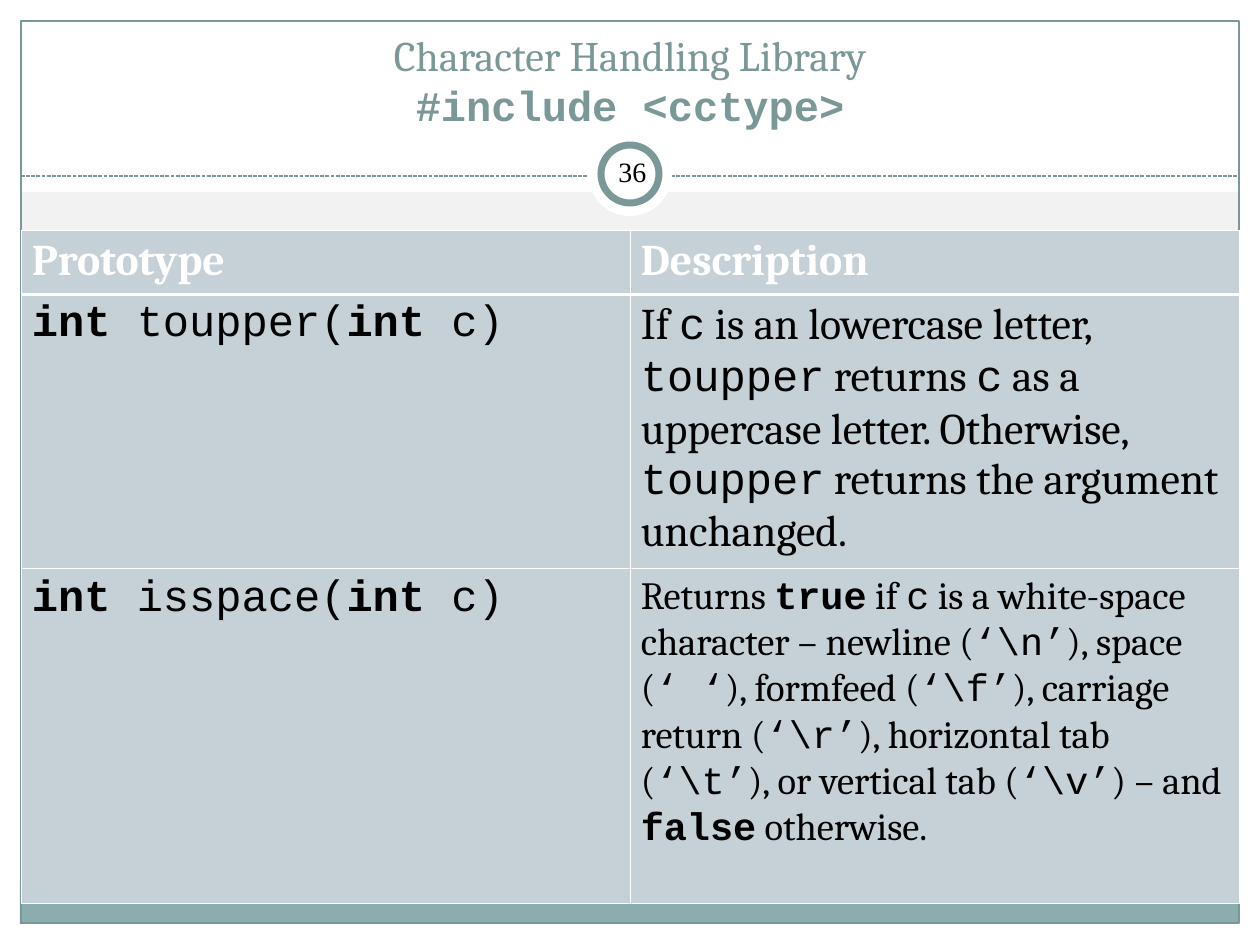
from typing import NamedTuple, Optional

import lxml.etree
import pptx
import pptx.dml.color
import pptx.enum.dml
import pptx.enum.shapes
import pptx.enum.text
import pptx.oxml.ns
import pptx.util

EMU_PER_PX = 914400 / 126
TEAL, WHITE, BLACK, CELL_FILL = "7B9899", "FFFFFF", "000000", "C5D1D7"
THIN, THICK = 0.45, 1.47
SERIF, MONO, NUMBER_FONT = "Cambria", "Courier New", "Times New Roman"
SHAPES = pptx.enum.shapes.MSO_SHAPE
ANCHORS = pptx.enum.text.MSO_ANCHOR


class Box(NamedTuple):
    left: int
    top: int
    width: int
    height: int


class Panel(NamedTuple):
    box: Box
    fill: Optional[str] = None
    line: Optional[str] = None
    line_points: float = 0.75
    kind: pptx.enum.shapes.MSO_SHAPE = SHAPES.RECTANGLE


class Run(NamedTuple):
    text: str
    font: str = SERIF
    bold: bool = False


class Cell(NamedTuple):
    runs: list[Run]
    size: int = 25
    color: str = BLACK


def code(text: str) -> Run:
    return Run(text, MONO)


def keyword(text: str) -> Run:
    return Run(text, MONO, True)


def prototype(name: str) -> Cell:
    return Cell([keyword("int"), code(f" {name}("), keyword("int"), code(" c)")])


def heading(text: str) -> Cell:
    return Cell([Run(text, bold=True)], color=WHITE)


FRAME = Box(21, 21, 1218, 902)
TITLE = Box(21, 31, 1218, 105)
PAGE_NUMBER = Box(601, 141, 63, 61)
TABLE = Box(21, 230, 1218, 673)
ROW_HEIGHTS = [64, 274, 335]
RULE_Y = 176

MARGINS = [
    Panel(Box(0, 924, 1260, 21), WHITE),
    Panel(Box(0, 0, 1260, 192), WHITE),
    Panel(Box(0, 0, 21, 945), WHITE),
    Panel(Box(1239, 0, 21, 945), WHITE),
    Panel(Box(20, 881, 1218, 43), "8CADAE"),
    Panel(FRAME, line=TEAL),
]
BADGE = [
    Panel(Box(588, 132, 84, 84), WHITE, kind=SHAPES.OVAL),
    Panel(Box(601, 145, 58, 58), WHITE, TEAL, 4, SHAPES.OVAL),
]
ROWS = [
    [heading("Prototype"), heading("Description")],
    [
        prototype("toupper"),
        Cell([
            Run("If "), code("c"), Run(" is an lowercase letter, "), code("toupper"),
            Run(" returns "), code("c"), Run(" as a uppercase letter. Otherwise, "),
            code("toupper"), Run(" returns the argument unchanged."),
        ]),
    ],
    [
        prototype("isspace"),
        Cell([
            Run("Returns "), keyword("true"), Run(" if "), code("c"),
            Run(" is a white-space character – newline ("), code("‘\\n’"),
            Run("), space ("), code("‘ ‘"), Run("), formfeed ("), code("‘\\f’"),
            Run("), carriage return ("), code("‘\\r’"),
            Run("), horizontal tab ("), code("‘\\t’"),
            Run("), or vertical tab ("), code("‘\\v’"),
            Run(") – and "), keyword("false"), Run(" otherwise."),
        ], 22),
    ],
]


def px(length: int) -> int:
    return round(length * EMU_PER_PX)


def rgb(color: str) -> pptx.dml.color.RGBColor:
    return pptx.dml.color.RGBColor.from_string(color)


def add_panel(slide, panel: Panel) -> None:
    shape = slide.shapes.add_shape(panel.kind, *map(px, panel.box))
    shape.shadow.inherit = False
    if panel.fill:
        shape.fill.solid()
        shape.fill.fore_color.rgb = rgb(panel.fill)
    else:
        shape.fill.background()
    if panel.line:
        shape.line.color.rgb = rgb(panel.line)
        shape.line.width = pptx.util.Pt(panel.line_points)
    else:
        shape.line.fill.background()


def add_rule(slide) -> None:
    left, right = FRAME.left, FRAME.left + FRAME.width
    rule = slide.shapes.add_connector(
        pptx.enum.shapes.MSO_CONNECTOR.STRAIGHT,
        px(left), px(RULE_Y), px(right), px(RULE_Y))
    rule.line.color.rgb = rgb(TEAL)
    rule.line.width = pptx.util.Pt(0.75)
    rule.line.dash_style = pptx.enum.dml.MSO_LINE.SQUARE_DOT
    properties = rule._element.spPr
    lxml.etree.SubElement(properties, pptx.oxml.ns.qn("a:effectLst"))


def add_run(paragraph, run: Run, size: int, color: str) -> None:
    text_run = paragraph.add_run()
    text_run.text = run.text
    text_run.font.name = run.font
    text_run.font.size = pptx.util.Pt(size)
    text_run.font.bold = run.bold
    text_run.font.color.rgb = rgb(color)


def add_text(slide, box: Box, lines: list[Run], size: int, color: str,
             anchor: pptx.enum.text.MSO_ANCHOR, side_inset: int) -> None:
    text_frame = slide.shapes.add_textbox(*map(px, box)).text_frame
    text_frame.word_wrap = True
    text_frame.vertical_anchor = anchor
    text_frame.margin_left = text_frame.margin_right = px(side_inset)
    paragraph = text_frame.paragraphs[0]
    paragraph.alignment = pptx.enum.text.PP_ALIGN.CENTER
    for index, line in enumerate(lines):
        if index:
            paragraph.add_line_break()
        add_run(paragraph, line, size, color)


def add_border(cell, side: str, points: float) -> None:
    qn = pptx.oxml.ns.qn
    properties = cell._tc.get_or_add_tcPr()
    line = lxml.etree.SubElement(
        properties, qn(f"a:ln{side}"), w=str(pptx.util.Pt(points)))
    fill = lxml.etree.SubElement(line, qn("a:solidFill"))
    lxml.etree.SubElement(fill, qn("a:srgbClr"), val=WHITE)


def add_table(slide) -> None:
    columns = len(ROWS[0])
    table = slide.shapes.add_table(len(ROWS), columns, *map(px, TABLE)).table
    table.first_row = table.horz_banding = False
    for column in table.columns:
        column.width = px(TABLE.width // columns)
    for row_index, (height, contents) in enumerate(zip(ROW_HEIGHTS, ROWS)):
        table.rows[row_index].height = px(height)
        top = THICK if row_index == 1 else THIN
        bottom = THICK if row_index == 0 else THIN
        for column_index, content in enumerate(contents):
            cell = table.cell(row_index, column_index)
            cell.margin_left = cell.margin_right = px(11)
            cell.margin_top = cell.margin_bottom = px(6)
            for side, points in zip("LRTB", (THIN, THIN, top, bottom)):
                add_border(cell, side, points)
            cell.fill.solid()
            cell.fill.fore_color.rgb = rgb(CELL_FILL)
            for run in content.runs:
                add_run(cell.text_frame.paragraphs[0], run, content.size, content.color)


def main() -> None:
    presentation = pptx.Presentation()
    presentation.slide_width, presentation.slide_height = px(1260), px(945)
    slide = presentation.slides.add_slide(presentation.slide_layouts[6])
    slide.background.fill.solid()
    slide.background.fill.fore_color.rgb = rgb("F2F2F2")
    for panel in MARGINS:
        add_panel(slide, panel)
    add_rule(slide)
    for panel in BADGE:
        add_panel(slide, panel)
    title = [Run("Character Handling Library"), keyword("#include <cctype>")]
    add_text(slide, TITLE, title, 24, TEAL, ANCHORS.BOTTOM, 12)
    add_table(slide)
    add_text(slide, PAGE_NUMBER, [Run("36", NUMBER_FONT)], 16, BLACK, ANCHORS.MIDDLE, 6)
    presentation.save("out.pptx")


if __name__ == "__main__":
    main()
